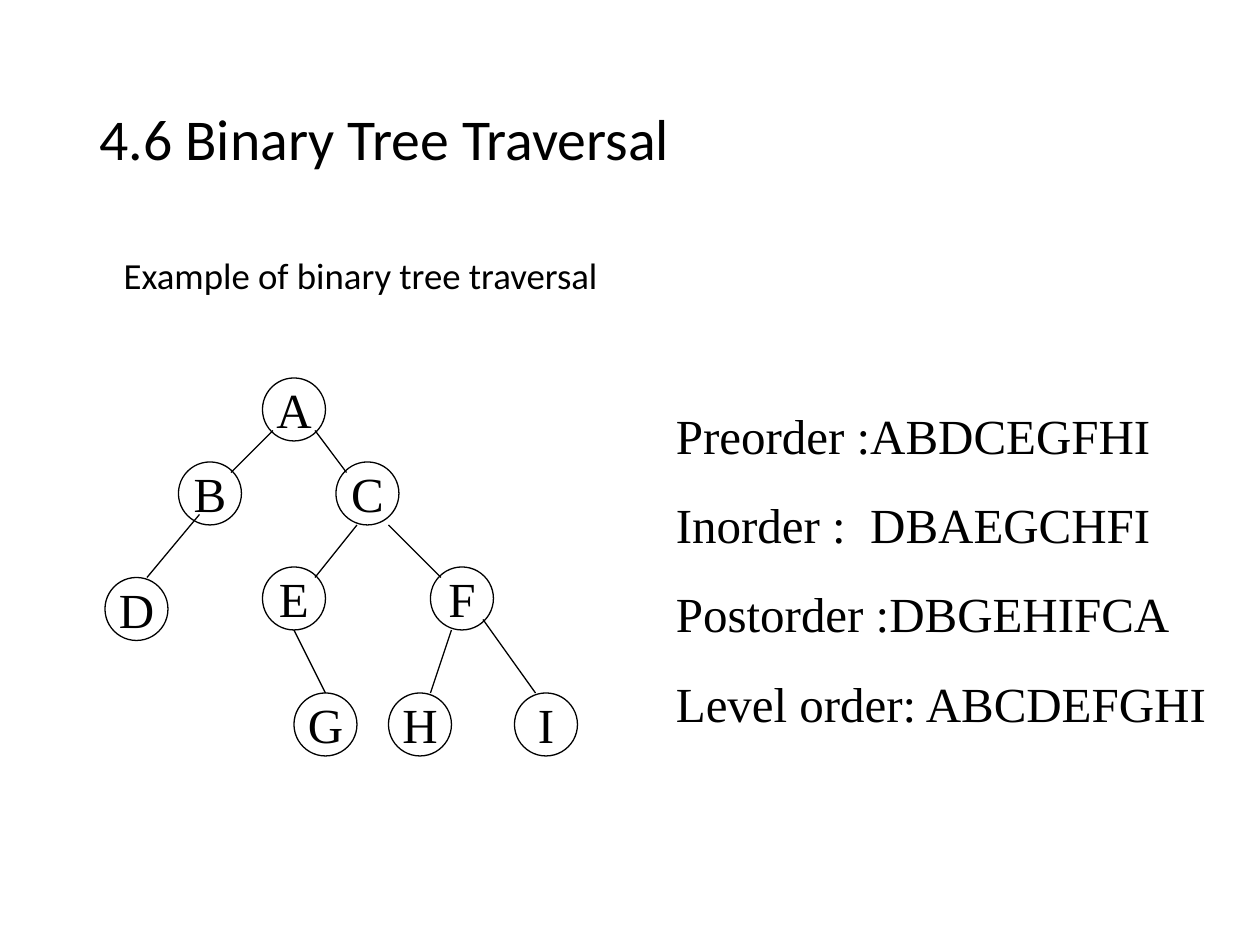
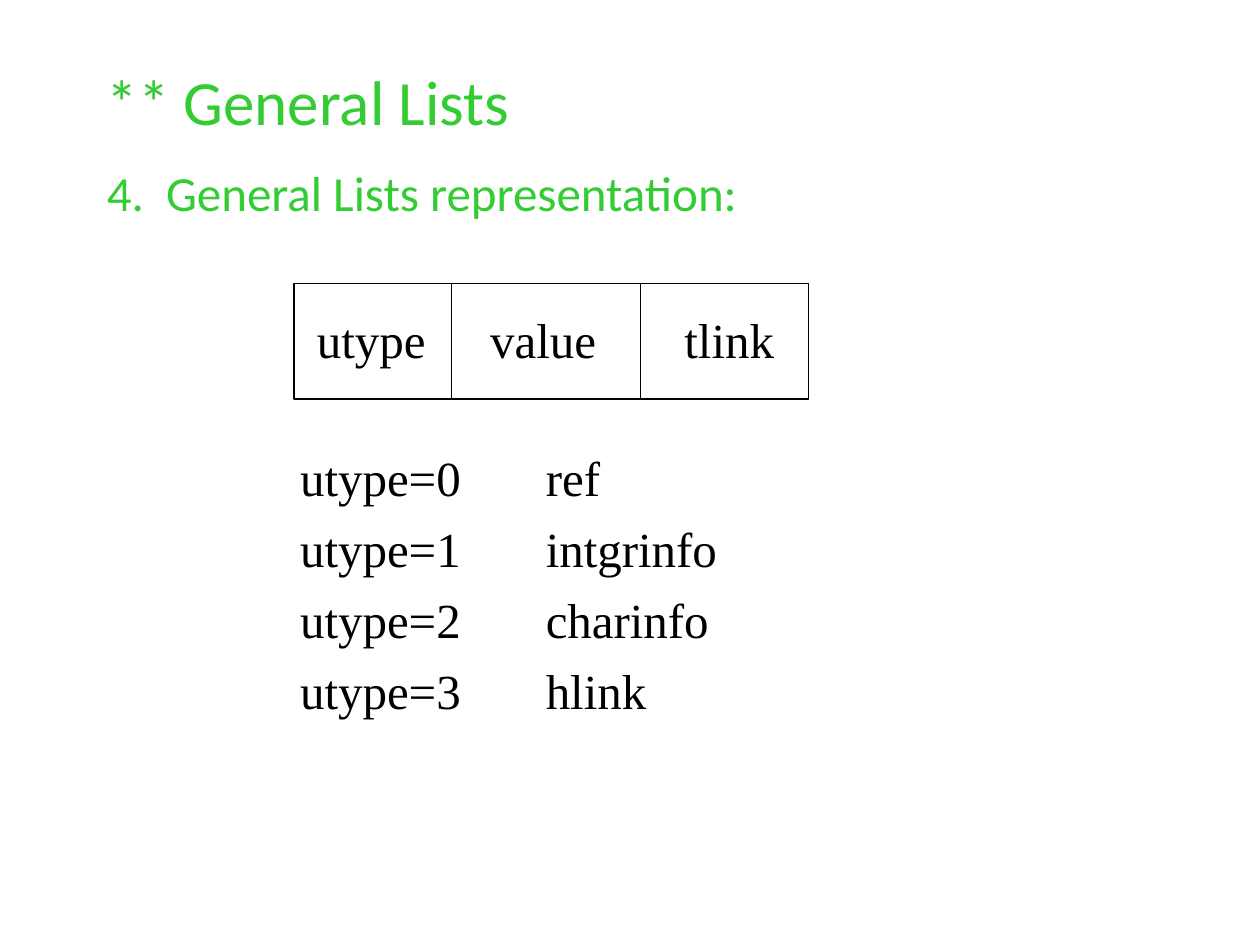
"""Build two data structure slides: binary tree traversal and general lists."""
from dataclasses import dataclass
from typing import Any, NamedTuple

import pptx
import pptx.dml.color
import pptx.enum.shapes
import pptx.enum.text
import pptx.oxml.ns
import pptx.util
from lxml import etree

PX = 7620
BLACK = pptx.dml.color.RGBColor(0x00, 0x00, 0x00)
GREEN = pptx.dml.color.RGBColor(0x33, 0xCC, 0x33)
SANS, SERIF = "Calibri", "Times New Roman"
SERIF_PT = 28
SERIF_LINE = pptx.util.Pt(33.6)
LINE_WIDTH = pptx.util.Pt(0.75)
NODE = 60
MIDDLE = pptx.enum.text.MSO_ANCHOR.MIDDLE
CENTER = pptx.enum.text.PP_ALIGN.CENTER
SHAPE = pptx.enum.shapes.MSO_SHAPE


class Box(NamedTuple):
    left: int
    top: int
    width: int
    height: int


class Node(NamedTuple):
    label: str
    left: int
    top: int


class Edge(NamedTuple):
    x1: int
    y1: int
    x2: int
    y2: int


class Field(NamedTuple):
    label: str
    left: int
    width: int
    inset: int


@dataclass(frozen=True)
class TextStyle:
    font: str = SERIF
    size: int = SERIF_PT
    color: pptx.dml.color.RGBColor = BLACK
    line_spacing: Any = SERIF_LINE
    space_before: float = 0
    indent: int = 0
    tabs: tuple[int, ...] = ()
    align: Any = None
    anchor: Any = None
    wrap: bool = True


NODES = [
    Node("A", 250, 360), Node("B", 170, 440), Node("C", 320, 440),
    Node("D", 100, 550), Node("E", 250, 540), Node("F", 410, 540),
    Node("G", 280, 660), Node("H", 370, 660), Node("I", 490, 660),
]
EDGES = [
    Edge(260, 410, 220, 450), Edge(190, 490, 140, 550),
    Edge(300, 410, 330, 450), Edge(340, 500, 300, 550),
    Edge(370, 500, 420, 550), Edge(280, 600, 310, 660),
    Edge(430, 600, 410, 660), Edge(460, 590, 510, 660),
]
ORDERS = [
    "Preorder :ABDCEGFHI",
    "Inorder :  DBAEGCHFI",
    "Postorder :DBGEHIFCA",
    "Level order: ABCDEFGHI",
]
RECORD = Box(280, 270, 490, 110)
FIELDS = [
    Field("utype", 280, 150, 10),
    Field("value", 430, 180, 25),
    Field("tlink", 610, 160, 30),
]
UTYPES = ["ref", "intgrinfo", "charinfo", "hlink"]


def apply(target: Any, values: dict[str, Any]) -> None:
    """Set each named attribute on the target."""
    for name, value in values.items():
        setattr(target, name, value)


def emu(lengths: tuple[int, ...]) -> list[int]:
    """Turn px lengths into EMU."""
    return [length * PX for length in lengths]


def write(tf: Any, lines: list[str], style: TextStyle) -> None:
    """Fill a text frame with one paragraph per line."""
    apply(tf, {"word_wrap": style.wrap, "vertical_anchor": style.anchor})
    for i, line in enumerate(lines):
        p = tf.add_paragraph() if i else tf.paragraphs[0]
        pPr = p._p.get_or_add_pPr()
        pPr.set("marL", str(style.indent * PX))
        if style.tabs:
            tab_list = etree.SubElement(pPr, pptx.oxml.ns.qn("a:tabLst"))
            for tab in style.tabs:
                etree.SubElement(tab_list, pptx.oxml.ns.qn("a:tab"), pos=str(tab * PX), algn="l")
        apply(p, {
            "line_spacing": style.line_spacing,
            "space_before": pptx.util.Pt(style.space_before if i else 0),
            "alignment": style.align,
        })
        r = p.add_run()
        r.text = line
        apply(r.font, {"name": style.font, "size": pptx.util.Pt(style.size)})
        r.font.color.rgb = style.color


def add_text(s: Any, box: Box, lines: list[str], style: TextStyle) -> None:
    """Add a text box."""
    write(s.shapes.add_textbox(*emu(box)).text_frame, lines, style)


def add_heading(s: Any, box: Box, text: str, size: int, color: Any) -> None:
    """Add a slide title."""
    add_text(s, box, [text], TextStyle(SANS, size, color, 0.9, anchor=MIDDLE))


def add_outline(s: Any, kind: Any, box: Box) -> Any:
    """Add an unfilled shape with a thin black line."""
    sp = s.shapes.add_shape(kind, *emu(box))
    sp.shadow.inherit = False
    sp.fill.background()
    sp.line.color.rgb = BLACK
    sp.line.width = LINE_WIDTH
    return sp


def add_line(s: Any, edge: Edge) -> None:
    """Add a thin straight black line."""
    cxn = s.shapes.add_connector(pptx.enum.shapes.MSO_CONNECTOR.STRAIGHT, *emu(edge))
    cxn.line.color.rgb = BLACK
    cxn.line.width = LINE_WIDTH
    etree.SubElement(cxn._element.spPr, pptx.oxml.ns.qn("a:effectLst"))


def build_traversal(s: Any) -> None:
    """Draw the binary tree and its four orders."""
    add_heading(s, Box(83, 48, 1036, 174), "4.6 Binary Tree Traversal", 33, BLACK)
    add_text(s, Box(90, 240, 1080, 570), ["Example of binary tree traversal"],
             TextStyle(SANS, 21, line_spacing=0.9, indent=16))
    for node in NODES:
        sp = add_outline(s, SHAPE.OVAL, Box(node.left, node.top, NODE, NODE))
        write(sp.text_frame, [node.label], TextStyle(align=CENTER, anchor=MIDDLE, wrap=False))
    for edge in EDGES:
        add_line(s, edge)
    add_text(s, Box(620, 380, 550, 324), ORDERS, TextStyle(space_before=17.5, indent=12))


def build_general_lists(s: Any) -> None:
    """Draw the list node record and the meaning of its utype."""
    add_heading(s, Box(90, 50, 1020, 100), "** General Lists", 36, GREEN)
    add_text(s, Box(90, 160, 1020, 310), ["4.  General Lists representation:"],
             TextStyle(SANS, 28, GREEN, 0.8))
    add_outline(s, SHAPE.RECTANGLE, RECORD)
    for field in FIELDS[1:]:
        add_line(s, Edge(field.left, RECORD.top, field.left, RECORD.top + RECORD.height))
    for field in FIELDS:
        box = Box(field.left + field.inset, 289, field.width - field.inset, 68)
        add_text(s, box, [field.label], TextStyle(wrap=False))
    add_text(s, Box(110, 420, 880, 340),
             [f"\tutype={i}\t{name}" for i, name in enumerate(UTYPES)],
             TextStyle(space_before=7, tabs=(164, 398)))


def main() -> None:
    """Build and save the presentation."""
    prs = pptx.Presentation()
    apply(prs, {"slide_width": 1200 * PX, "slide_height": 900 * PX})
    for build in (build_traversal, build_general_lists):
        build(prs.slides.add_slide(prs.slide_layouts[6]))
    prs.save("out.pptx")


if __name__ == "__main__":
    main()
